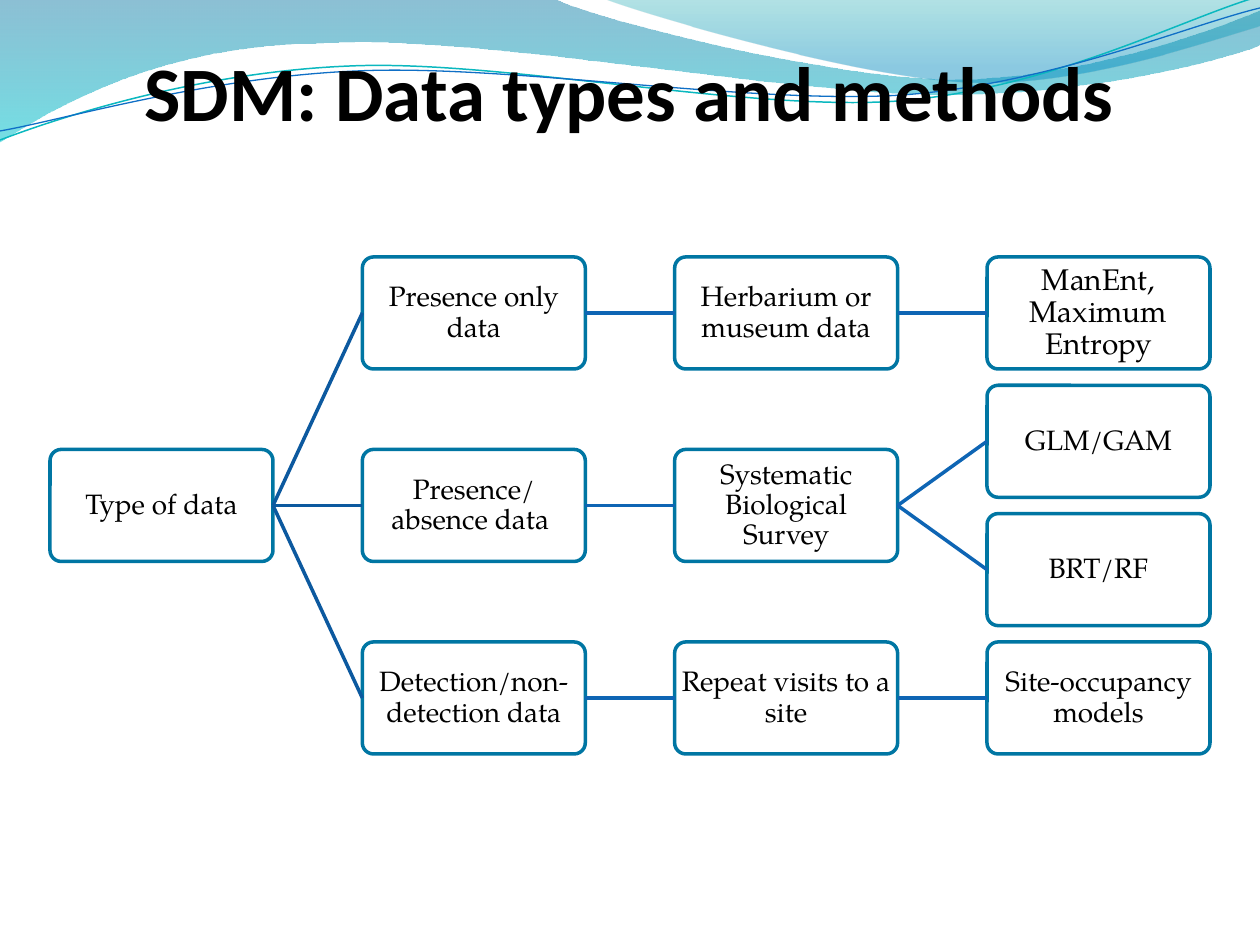
from dataclasses import dataclass

from lxml import etree
from pptx import Presentation
from pptx.dml.color import RGBColor
from pptx.enum.shapes import MSO_CONNECTOR, MSO_SHAPE
from pptx.enum.text import MSO_ANCHOR, MSO_AUTO_SIZE, PP_ALIGN
from pptx.oxml.ns import qn
from pptx.util import Emu, Pt

ROUNDED = MSO_SHAPE.ROUNDED_RECTANGLE
STRAIGHT = MSO_CONNECTOR.STRAIGHT
MIDDLE, TOP = MSO_ANCHOR.MIDDLE, MSO_ANCHOR.TOP
CENTER = PP_ALIGN.CENTER
LEFT_SIDE, RIGHT_SIDE = 1, 3

SCALE = 914400 / 126  # EMU in one px
BODY_FONT, TITLE_FONT = "TeX Gyre Pagella", "Calibri"
BLACK, BORDER = "000000", "0076A3"
FIRST_LINK, LATER_LINK = "0C599F", "0E65B4"
BOX_W, BOX_H = 223, 112


@dataclass
class Node:
    text: str
    col: int
    half_row: int
    parent: int | None = None  # index in NODES
    size: int = 16


@dataclass
class Stop:
    position: float
    color: str
    opacity: int


@dataclass
class Wave:
    start: tuple
    segments: list  # 2 numbers: straight line, 6 numbers: Bezier curve
    stops: tuple = ()
    line: str = ""
    width: float = 0


NODES = [
    Node("Type of data", 0, 3),
    Node("Presence only data", 1, 0, 0),
    Node("Herbarium or museum data", 2, 0, 1),
    Node("ManEnt, Maximum Entropy", 3, 0, 2, 17),
    Node("Presence/absence data ", 1, 3, 0),
    Node("Systematic Biological Survey", 2, 3, 4),
    Node("GLM/GAM", 3, 2, 5),
    Node("BRT/RF", 3, 4, 5),
    Node("Detection/non-detection data", 1, 6, 0),
    Node("Repeat visits to a site", 2, 6, 8),
    Node("Site-occupancy models", 3, 6, 9),
]

WAVES = [
    Wave((0, -1), [
        (554, -1), (600, 21, 837, 79, 955, 79), (1075, 79, 1207, 33, 1260, 11),
        (1261, 45), (1239, 55, 1096, 96, 940, 94), (781, 94, 481, 35, 324, 43),
        (163, 44, 58, 105, -1, 142), (0, -1)],
        stops=(Stop(0, "0074A1", 45), Stop(1, "00C6CF", 55))),
    Wave((604, -1), [
        (641, 14, 859, 78, 969, 82), (1079, 87, 1211, 40, 1260, 26),
        (1260, 0), (604, -1)],
        stops=(Stop(0, "00A1A9", 30), Stop(0.8, "008BBF", 45))),
    Wave((0, 140), [
        (60, 117, 199, 72, 349, 66), (498, 59, 747, 112, 898, 101),
        (1050, 89, 1182, 19, 1257, -3)], line="0AB8BF", width=0.85),
    Wave((0, 131), [
        (59, 121, 207, 77, 357, 71), (508, 64, 752, 105, 903, 95),
        (1051, 84, 1186, 26, 1260, 8)], line="0F6FC6", width=0.75),
]


def px(n: float) -> Emu:
    return Emu(round(n * SCALE))


def rgb(color: str) -> RGBColor:
    return RGBColor.from_string(color)


def bend_segments(sp, segments: list) -> None:
    """Turn the straight pieces of a freeform into Bezier curves."""
    pieces = list(sp.element.spPr.iter(qn("a:lnTo")))
    for piece, seg in zip(pieces, segments):
        if len(seg) == 2:
            continue
        piece.tag = qn("a:cubicBezTo")
        piece.clear()
        for x, y in zip(seg[::2], seg[1::2]):
            etree.SubElement(piece, qn("a:pt"), x=str(px(x) - sp.left),
                             y=str(px(y) - sp.top))


def draw_wave(s, wave: Wave) -> None:
    ends = [(px(seg[-2]), px(seg[-1])) for seg in wave.segments]
    builder = s.shapes.build_freeform(px(wave.start[0]), px(wave.start[1]))
    builder.add_line_segments(ends, close=bool(wave.stops))
    sp = builder.convert_to_shape()
    bend_segments(sp, wave.segments)
    sp.shadow.inherit = False
    if not wave.stops:
        sp.fill.background()
        sp.line.color.rgb = rgb(wave.line)
        sp.line.width = Pt(wave.width)
        return
    sp.line.fill.background()
    sp.fill.gradient()
    sp.fill.gradient_angle = 270
    for stop, wanted in zip(sp.fill.gradient_stops, wave.stops):
        stop.position = wanted.position
        stop.color.rgb = rgb(wanted.color)
    # Opacity of the gradient stops
    for clr, wanted in zip(sp.element.spPr.iter(qn("a:srgbClr")), wave.stops):
        etree.SubElement(clr, qn("a:alpha"), val=str(wanted.opacity * 1000))


def draw_node(s, node: Node):
    left = 50 + node.col * 937 / 3
    top = 257 + node.half_row * 385 / 6
    sp = s.shapes.add_shape(ROUNDED, px(left), px(top), px(BOX_W), px(BOX_H))
    sp.adjustments[0] = 0.1
    sp.shadow.inherit = False
    sp.fill.background()
    sp.line.color.rgb = rgb(BORDER)
    sp.line.width = Pt(2)
    tf = sp.text_frame
    tf.word_wrap = True
    tf.vertical_anchor = MIDDLE
    tf.margin_left = tf.margin_right = tf.margin_top = tf.margin_bottom = px(1)
    p = tf.paragraphs[0]
    p.text = node.text
    p.alignment = CENTER
    p.line_spacing = 0.9
    p.font.name = BODY_FONT
    p.font.size = Pt(node.size)
    p.font.color.rgb = rgb(BLACK)
    return sp


def draw_link(s, parent, child, color: str) -> None:
    link = s.shapes.add_connector(STRAIGHT, 0, 0, 0, 0)
    link.begin_connect(parent, RIGHT_SIDE)
    link.end_connect(child, LEFT_SIDE)
    link.line.color.rgb = rgb(color)
    link.line.width = Pt(2)
    etree.SubElement(link.element.spPr, qn("a:effectLst"))


def draw_title(s, text: str) -> None:
    title = s.shapes.title
    title.left, title.top, title.width, title.height = map(px, (63, 38, 1134, 157))
    tf = title.text_frame
    tf.word_wrap = True
    tf.auto_size = MSO_AUTO_SIZE.NONE
    tf.vertical_anchor = TOP
    p = tf.paragraphs[0]
    p.text = text
    p.alignment = CENTER
    p.font.name = TITLE_FONT
    p.font.size = Pt(44)
    p.font.bold = True
    p.font.color.rgb = rgb(BLACK)
    s.shapes.element.append(title.element)  # in front of the waves


def main() -> None:
    prs = Presentation()
    prs.slide_width, prs.slide_height = px(1260), px(945)
    s = prs.slides.add_slide(prs.slide_layouts[5])

    # Waves along the top
    for wave in WAVES:
        draw_wave(s, wave)

    # Tree of data types and methods
    boxes = [draw_node(s, node) for node in NODES]
    for node, box in zip(NODES, boxes):
        if node.parent is not None:
            color = FIRST_LINK if node.col == 1 else LATER_LINK
            draw_link(s, boxes[node.parent], box, color)

    draw_title(s, "SDM: Data types and methods")
    prs.save("out.pptx")


if __name__ == "__main__":
    main()
